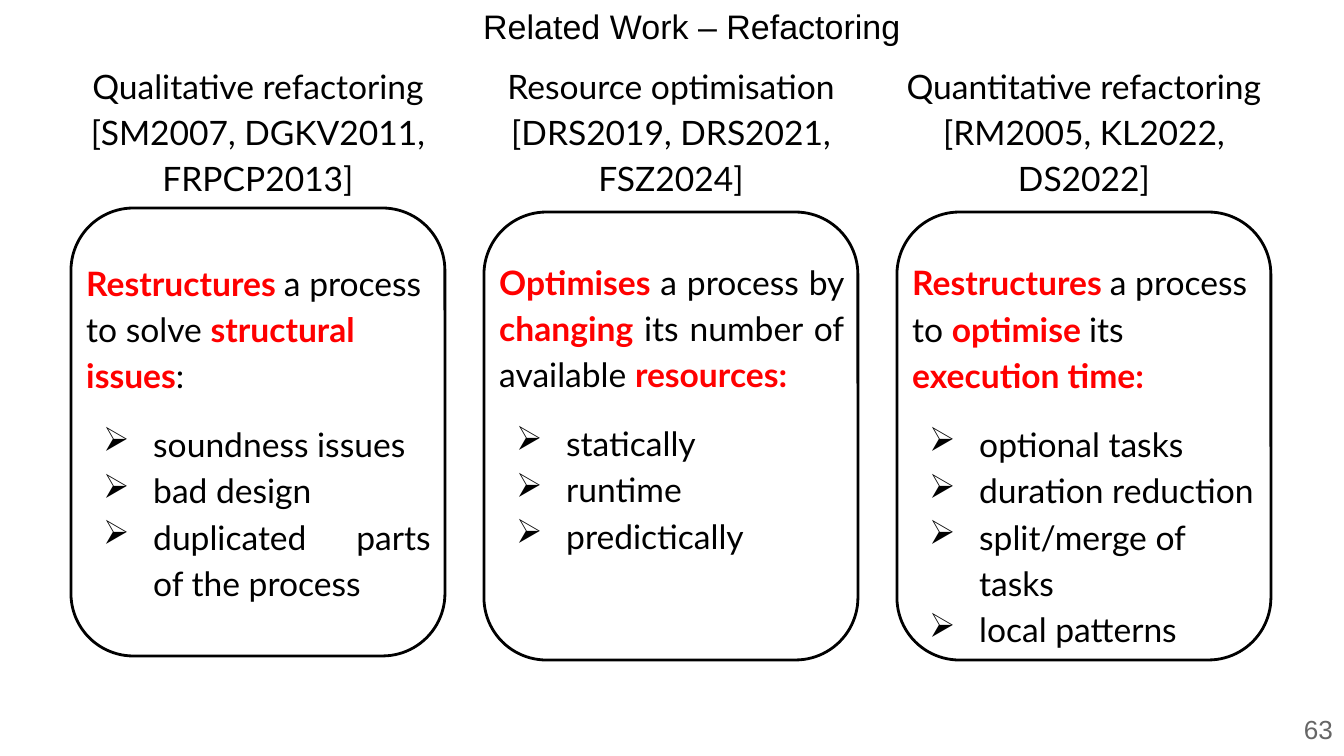
from dataclasses import dataclass
from lxml.etree import SubElement as sub
from pptx import Presentation
from pptx.dml.color import RGBColor as RGB
from pptx.enum.shapes import MSO_SHAPE as Shape
from pptx.enum.text import MSO_ANCHOR as Anchor, PP_ALIGN as Align
from pptx.oxml.ns import qn
from pptx.util import Pt

SCALE = 914400 / 134.4  # EMU in one px


@dataclass(frozen=True)
class Theme:
    ink: str = "000000"
    hot: str = "FF0000"
    dim: str = "666666"
    head: str = "Arial"
    body: str = "Lato"
    title: float = 18.2
    text: float = 18
    page: float = 14
    line: float = 1.5
    lead: float = 1.15
    gap: float = 12


THEME = Theme()
PITCH = 413
LEFT = 71
FRAME = 374  # width of a frame


@dataclass(frozen=True)
class Column:
    head: str
    wide: int      # heading width
    top: int       # frame top
    start: int     # body top
    high: int      # body height
    claim: tuple   # runs, red and black in turn
    align: Align
    items: tuple
    ragged: tuple = ()  # items that are not justified


COLUMNS = (
    Column("Qualitative refactoring\n[SM2007, DGKV2011, FRPCP2013]",
           457, 208, 243, 371,
           ("Restructures ", "a process to solve ", "structural issues", ":"),
           Align.LEFT,
           ("soundness issues", "bad design", "duplicated parts\nof the process")),
    Column("Resource optimisation\n[DRS2019, DRS2021, FSZ2024]",
           457, 212, 242, 325,
           ("Optimises ", "a process by ", "changing ",
            "its number of available ", "resources:"),
           Align.JUSTIFY,
           ("statically", "runtime", "predictically")),
    Column("Quantitative refactoring\n[RM2005, KL2022, DS2022]",
           411, 212, 243, 418,
           ("Restructures ", "a process to ", "optimise ", "its ", "execution time:"),
           Align.LEFT,
           ("optional tasks", "duration reduction", "split/merge of tasks",
            "local patterns"),
           ("split/merge of tasks",)),
)


def px(num):
    return round(num * SCALE)


def style(run, size, face, color, bold=False):
    font = run.font
    font.size, font.name, font.bold = Pt(size), face, bold
    font.color.rgb = RGB.from_string(color)


def add_box(slide, x, y, w, h, anchor=Anchor.MIDDLE):
    frame = slide.shapes.add_textbox(px(x), px(y), px(w), px(h)).text_frame
    frame.word_wrap = True
    frame.vertical_anchor = anchor
    frame.margin_left = frame.margin_right = px(13.44)
    frame.margin_top = frame.margin_bottom = px(13.44)
    return frame


def add_label(slide, text, spot, size, face, color, align):
    frame = add_box(slide, *spot)
    para = frame.paragraphs[0]
    para.text = text
    para.alignment = align
    for run in para.runs:
        style(run, size, face, color)
    return para


def add_frame(slide, x, y):
    shape = slide.shapes.add_shape(
        Shape.ROUNDED_RECTANGLE, px(x), px(y), px(FRAME), px(448))
    shape.adjustments[0] = 0.167
    shape.shadow.inherit = False
    shape.fill.background()
    shape.line.color.rgb = RGB.from_string(THEME.ink)
    shape.line.width = Pt(THEME.line)


def add_bullet(para):
    props = para._p.get_or_add_pPr()
    props.set("marL", str(px(67)))
    props.set("indent", str(px(-50)))
    color = sub(props, qn("a:buClr"))
    sub(color, qn("a:srgbClr"), val=THEME.ink)
    sub(props, qn("a:buChar"), char="➢")


def add_body(slide, x, col):
    frame = add_box(slide, x, col.start, 371, col.high, Anchor.TOP)
    # Claim with its key words in red
    claim = frame.paragraphs[0]
    claim.alignment = col.align
    claim.line_spacing = THEME.lead
    for num, text in enumerate(col.claim):
        run = claim.add_run()
        run.text = text
        hot = num % 2 == 0
        style(run, THEME.text, THEME.body, THEME.hot if hot else THEME.ink, hot)
    # Bullet list
    for num, text in enumerate(col.items):
        para = frame.add_paragraph()
        para.text = text
        add_bullet(para)
        para.alignment = Align.LEFT if text in col.ragged else Align.JUSTIFY
        para.line_spacing = THEME.lead
        if num == 0:
            para.space_before = Pt(THEME.gap)
        for run in para.runs:
            style(run, THEME.text, THEME.body, THEME.ink)


def add_column(slide, x, col):
    add_frame(slide, x, col.top)
    spot = (x + (FRAME - col.wide) / 2, 58, col.wide, 142)
    head = add_label(slide, col.head, spot, THEME.text, THEME.body,
                     THEME.ink, Align.CENTER)
    head.line_spacing = THEME.lead
    head.space_after = Pt(THEME.gap)
    add_body(slide, x + 2, col)


def main():
    deck = Presentation()
    deck.slide_width, deck.slide_height = px(1344), px(756)
    slide = deck.slides.add_slide(deck.slide_layouts[6])
    # Title and page number
    add_label(slide, "Related Work – Refactoring", (470, 0, 573, 51),
              THEME.title, THEME.head, THEME.ink, Align.LEFT)
    add_label(slide, "63", (1289, 703, 59, 53),
              THEME.page, THEME.head, THEME.dim, Align.CENTER)
    # Three kinds of related work
    for num, col in enumerate(COLUMNS):
        add_column(slide, LEFT + num * PITCH, col)
    deck.save("out.pptx")


if __name__ == "__main__":
    main()
